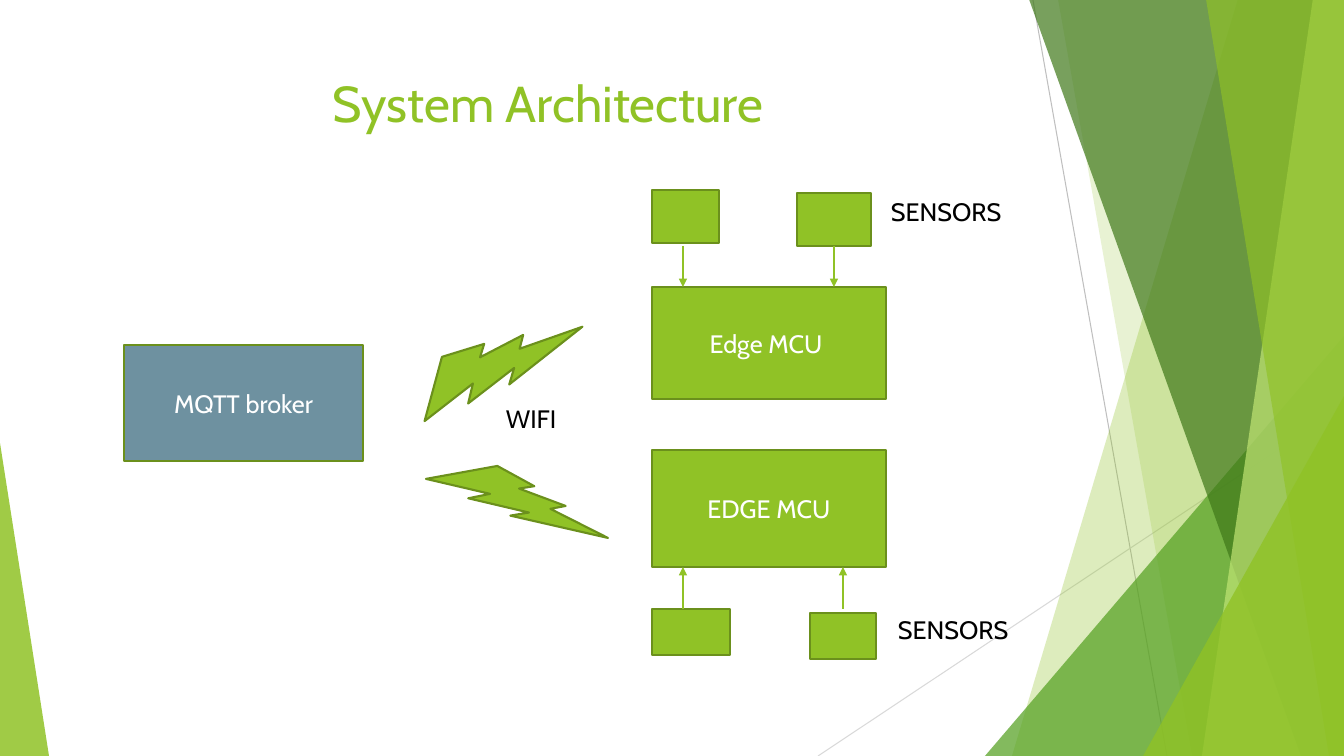
import lxml.etree
import pptx
import pptx.dml.color
import pptx.enum.dml
import pptx.enum.shapes
import pptx.enum.text
import pptx.oxml.ns
import pptx.util

SLIDE_W, SLIDE_H = 1344, 756
EMU_PER_PX = 12192000 / SLIDE_W
COLORS = {
    "lime": "90C226", "lime_edge": "6B901C", "pale": "C0E474",
    "green": "54A021", "forest": "3F7819", "slate": "6E91A0",
    "gray": "BFBFBF", "light_gray": "D9D9D9",
    "white": "FFFFFF", "black": "000000",
}
PRESET = pptx.enum.shapes.MSO_SHAPE
ALIGN = pptx.enum.text.PP_ALIGN
ANCHOR = pptx.enum.text.MSO_ANCHOR


def emu(px):
    return pptx.util.Emu(round(px * EMU_PER_PX))


def rgb(name):
    return pptx.dml.color.RGBColor.from_string(COLORS[name])


def add_child(parent, tag, **attributes):
    return lxml.etree.SubElement(parent, pptx.oxml.ns.qn(tag), attributes)


def paint(shape, color, opacity=100, edge=None):
    shape.shadow.inherit = False
    shape.fill.solid()
    shape.fill.fore_color.rgb = rgb(color)
    if opacity < 100:
        tint = shape.fill._xPr.find(".//" + pptx.oxml.ns.qn("a:srgbClr"))
        add_child(tint, "a:alpha", val=str(opacity * 1000))
    if edge:
        shape.line.color.rgb = rgb(edge)
        shape.line.width = pptx.util.Pt(1.5)
    else:
        shape.line.fill.background()


def write(shape, text, color, size=18, align=ALIGN.LEFT, anchor=ANCHOR.TOP):
    frame = shape.text_frame
    frame.word_wrap = True
    frame.vertical_anchor = anchor
    paragraph = frame.paragraphs[0]
    paragraph.alignment = align
    run = paragraph.add_run()
    run.text = text
    run.font.color.rgb = rgb(color)
    for name, value in {"name": "Cabin", "size": pptx.util.Pt(size)}.items():
        setattr(run.font, name, value)


def add_preset(slide, preset, box, color, opacity=100, edge=None):
    shape = slide.shapes.add_shape(preset, *map(emu, box))
    paint(shape, color, opacity, edge)
    return shape


def add_block(slide, box, text="", color="lime"):
    block = add_preset(slide, PRESET.RECTANGLE, box, color, edge="lime_edge")
    if text:
        write(block, text, "white", align=ALIGN.CENTER, anchor=ANCHOR.MIDDLE)
    return block


def add_bolt(slide, box, rotation=0):
    bolt = add_preset(slide, PRESET.LIGHTNING_BOLT, box, "lime", edge="lime_edge")
    bolt.rotation = rotation


def add_label(slide, box, text, color="black", grow=True, **style):
    label = slide.shapes.add_textbox(*map(emu, box))
    write(label, text, color, **style)
    if grow:
        label.text_frame.auto_size = pptx.enum.text.MSO_AUTO_SIZE.SHAPE_TO_FIT_TEXT


def add_line(slide, ends, color, width, arrow=False):
    line = slide.shapes.add_connector(
        pptx.enum.shapes.MSO_CONNECTOR.STRAIGHT, *map(emu, ends))
    line.line.color.rgb = rgb(color)
    line.line.width = pptx.util.Pt(width)
    if arrow:
        add_child(line.line._get_or_add_ln(), "a:tailEnd", type="triangle")
    add_child(line._element.spPr, "a:effectLst")
    return line


def add_band(slide, top_left, top_right, bottom_left, color, opacity):
    """Band that runs from the top edge to the bottom right corner."""
    outline = slide.shapes.build_freeform(top_left, -1, scale=EMU_PER_PX)
    outline.add_line_segments(
        [(top_right, -1), (SLIDE_W, SLIDE_H), (bottom_left, SLIDE_H)], close=True)
    paint(outline.convert_to_shape(), color, opacity)


def add_corner(slide, box, apex, color, opacity):
    corner = add_preset(slide, PRESET.ISOSCELES_TRIANGLE, box, color, opacity)
    corner.adjustments[0] = apex


def draw_backdrop(slide):
    add_line(slide, (1033, 0, 1167, SLIDE_H), "gray", 0.75)
    add_line(slide, (SLIDE_W, 406, 818, SLIDE_H), "light_gray", 0.75)
    add_band(slide, 1238, SLIDE_W, 1012, "lime", 30)
    add_band(slide, 1058, SLIDE_W, 1192, "lime", 20)
    add_corner(slide, (985, 336, 359, 420), 1, "green", 72)
    add_band(slide, 1029, SLIDE_W, 1301, "forest", 70)
    add_band(slide, 1313, SLIDE_W, 1202, "pale", 70)
    add_band(slide, 1206, SLIDE_W, 1329, "lime", 65)
    add_corner(slide, (1143, 396, 201, 360), 1, "lime", 80)
    add_corner(slide, (0, 443, 49, 313), 0, "lime", 85)


def draw_architecture(slide):
    # Broker and the two controllers
    add_block(slide, (124, 345, 239, 116), "MQTT broker", "slate")
    add_block(slide, (652, 287, 234, 112), "Edge MCU ")
    add_block(slide, (652, 450, 234, 117), "EDGE MCU")

    # Sensors above and below the controllers
    add_block(slide, (652, 190, 67, 53))
    upper_right_sensor = add_block(slide, (797, 193, 74, 53))
    add_block(slide, (652, 609, 78, 46))
    add_block(slide, (810, 613, 66, 46))

    # Sensor readings
    for x, start, end in ((683, 246, 287), (683, 609, 567), (843, 609, 567)):
        add_line(slide, (x, start, x, end), "lime", 1, arrow=True)
    reading = add_line(slide, (834, 246, 834, 287), "lime", 1, arrow=True)
    reading.begin_connect(upper_right_sensor, 2)

    # Wireless links
    add_bolt(slide, (414, 317, 163, 104), 301.5)
    add_bolt(slide, (426, 466, 182, 72))

    # Labels
    add_label(slide, (496, 398, 102, 40), "WIFI")
    add_label(slide, (881, 191, 131, 40), "SENSORS")
    add_label(slide, (888, 609, 141, 40), "SENSORS")


def main():
    deck = pptx.Presentation()
    deck.slide_width, deck.slide_height = emu(SLIDE_W), emu(SLIDE_H)
    slide = deck.slides.add_slide(deck.slide_layouts[6])
    draw_backdrop(slide)
    add_label(slide, (74, 67, 948, 145), "System Architecture", "lime",
              grow=False, size=36, align=ALIGN.CENTER)
    draw_architecture(slide)
    deck.save("out.pptx")


if __name__ == "__main__":
    main()
